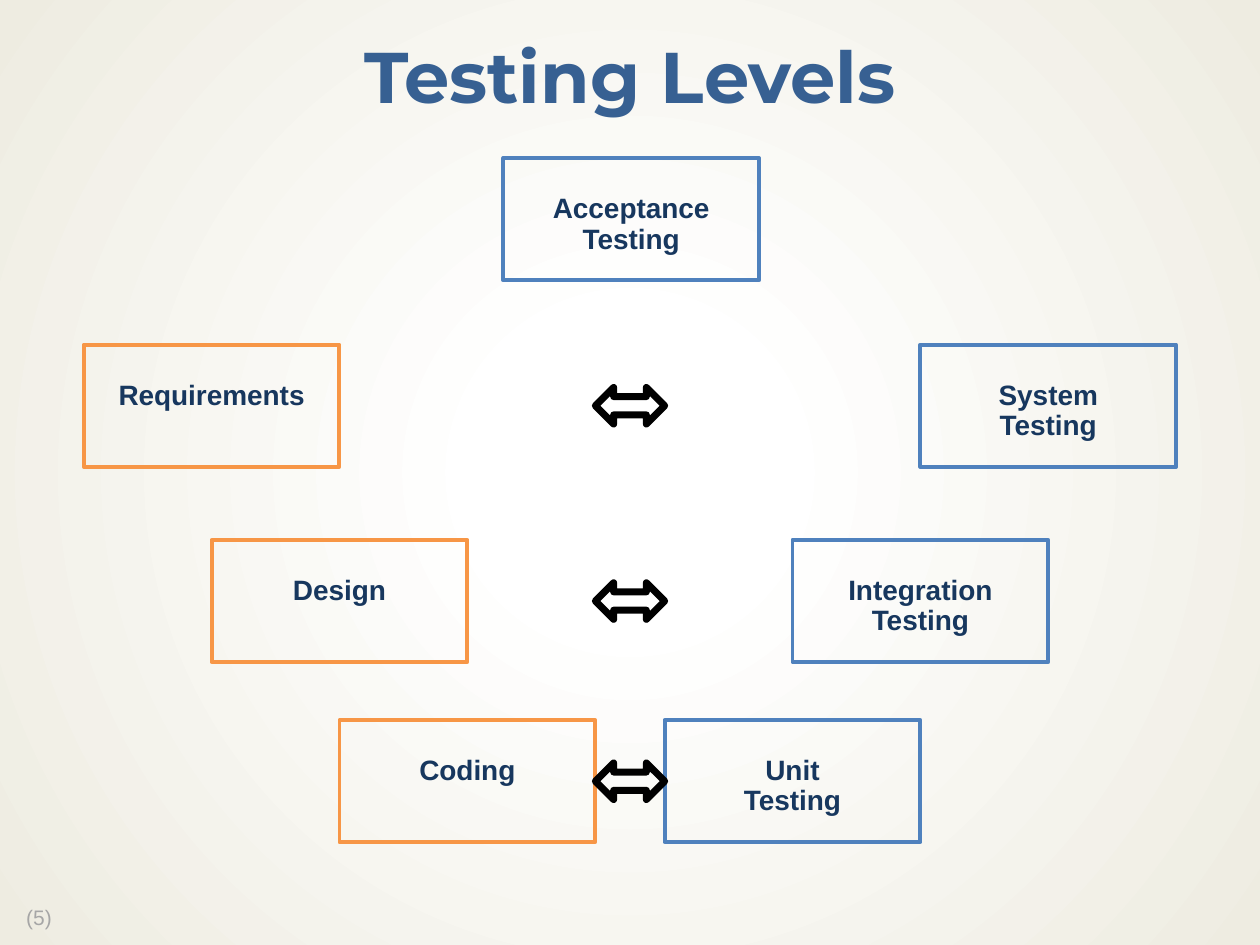
import pptx
import pptx.util
from lxml import etree
from pptx.dml.color import RGBColor
from pptx.enum.shapes import MSO_SHAPE
from pptx.enum.text import MSO_ANCHOR, PP_ALIGN
from pptx.oxml.ns import qn

HUES = {
    "title": "376092", "text": "17375E", "page": "A6A6A6", "test": "4F81BD",
    "build": "F79646", "arrow": "000000", "inner": "FFFFFF", "outer": "EEECE1",
}
WIDE, HIGH = 10, 7.5
BOX_W, BOX_H = 2.03, 0.97
MID = WIDE / 2


def hue(name):
    return RGBColor.from_string(HUES[name])


class Deck:
    """Holds the style and the current slide; lengths are in inches."""

    def __init__(self):
        self.show = pptx.Presentation()
        self.show.slide_width = pptx.util.Inches(WIDE)
        self.show.slide_height = pptx.util.Inches(HIGH)
        self.slide = self.show.slides.add_slide(self.show.slide_layouts[6])

    def glow(self):
        """Fill the background with a radial gradient."""
        fill = self.slide.background.fill
        fill.gradient()
        for stop, name, place in zip(fill.gradient_stops, ("inner", "outer"), (0.18, 1)):
            stop.color.rgb = hue(name)
            stop.position = place
        grad = self.slide.element.find(".//" + qn("a:gradFill"))
        grad.remove(grad.find(qn("a:lin")))
        ring = etree.SubElement(grad, qn("a:path"), path="circle")
        etree.SubElement(ring, qn("a:fillToRect"), l="50000", t="50000", r="50000", b="50000")

    def letter(self, frame, text, size, color, font="Arial", bold=True, align=PP_ALIGN.CENTER):
        """Set the text of a frame and format its runs."""
        frame.text = text
        for para in frame.paragraphs:
            para.alignment = align
            para.line_spacing = 0.9
            for run in para.runs:
                run.font.name = font
                run.font.size = pptx.util.Pt(size)
                run.font.bold = bold
                run.font.color.rgb = hue(color)

    def label(self, left, top, width, height, text, size, color, **style):
        area = [pptx.util.Inches(n) for n in (left, top, width, height)]
        frame = self.slide.shapes.add_textbox(*area).text_frame
        frame.word_wrap = True
        frame.vertical_anchor = MSO_ANCHOR.MIDDLE
        self.letter(frame, text, size, color, **style)

    def outline(self, kind, x, y, width, height, color, weight):
        """Add an unfilled shape centred on x, y."""
        area = (x - width / 2, y - height / 2, width, height)
        shape = self.slide.shapes.add_shape(kind, *[pptx.util.Inches(n) for n in area])
        shape.shadow.inherit = False
        shape.fill.background()
        shape.line.color.rgb = hue(color)
        shape.line.width = pptx.util.Pt(weight)
        return shape

    def box(self, x, y, text, color):
        frame = self.outline(MSO_SHAPE.RECTANGLE, x, y, BOX_W, BOX_H, color, 2.25).text_frame
        frame.word_wrap = True
        frame.vertical_anchor = MSO_ANCHOR.TOP
        frame.margin_top = pptx.util.Inches(0.29)
        self.letter(frame, text, 16, "text")

    def arrow(self, y):
        self.outline(MSO_SHAPE.LEFT_RIGHT_ARROW, MID, y, 0.55, 0.29, "arrow", 4)


def main():
    deck = Deck()
    deck.glow()

    # Title and page number
    deck.label(0, 0.17, WIDE, 0.94, "Testing Levels", 41, "title", font="Montserrat")
    deck.label(0.11, 7.15, 0.56, 0.28, "(5)", 12, "page", bold=False, align=PP_ALIGN.LEFT)

    # Top of the V
    deck.box(MID + 0.01, 1.74, "Acceptance\nTesting", "test")

    # Paired levels, each half a box nearer the middle
    pairs = [
        (3.22, "Requirements", "System\nTesting"),
        (4.77, "Design", "Integration Testing"),
        (6.2, "Coding", "Unit\nTesting"),
    ]
    for row, (y, build, test) in enumerate(pairs):
        reach = 3.32 - row * BOX_W / 2
        deck.box(MID - reach, y, build, "build")
        deck.box(MID + reach, y, test, "test")
        deck.arrow(y)

    deck.show.save("out.pptx")


if __name__ == "__main__":
    main()
